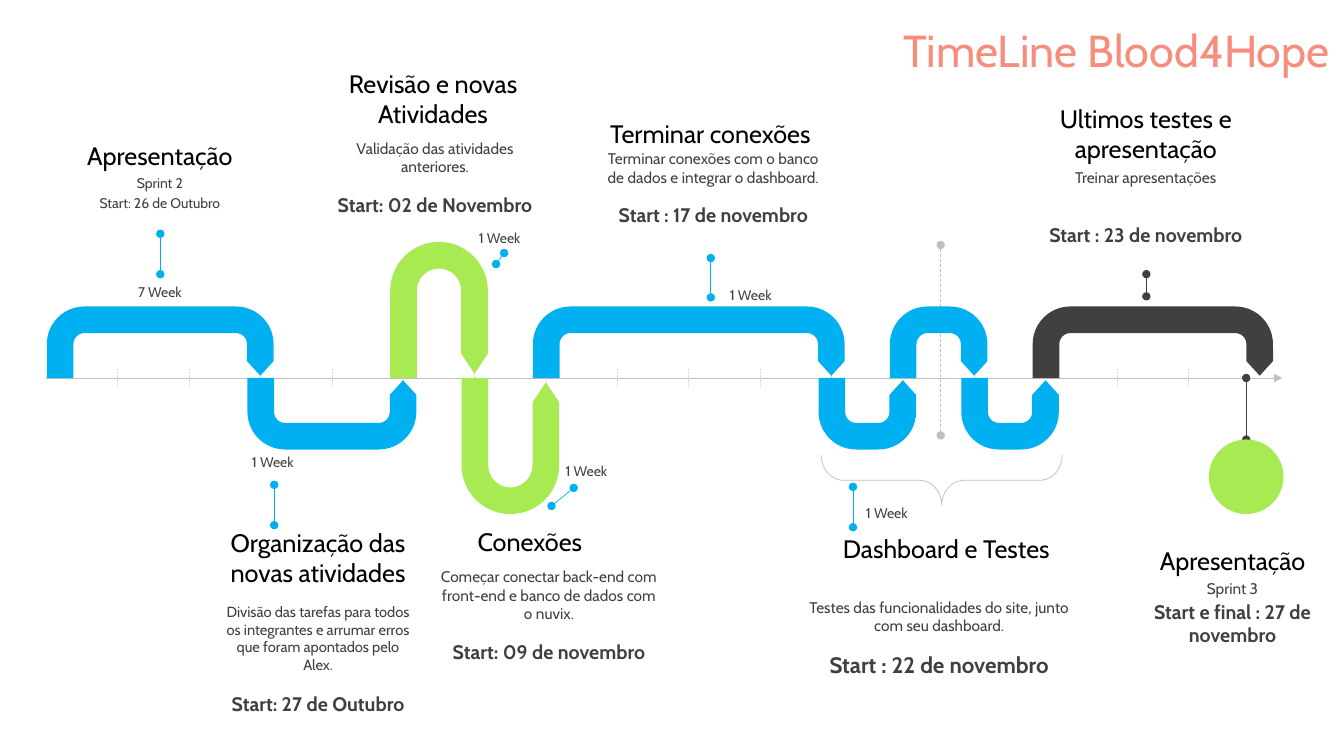
"""Builds a project timeline slide with winding arrows over a weekly axis."""
from lxml import etree
from pptx import Presentation
from pptx.dml.color import RGBColor
from pptx.enum.dml import MSO_LINE
from pptx.enum.shapes import MSO_CONNECTOR, MSO_SHAPE
from pptx.enum.text import MSO_ANCHOR, PP_ALIGN
from pptx.oxml.ns import qn
from pptx.util import Inches, Pt

STRAIGHT = MSO_CONNECTOR.STRAIGHT
UTURN, BRACE, OVAL = MSO_SHAPE.U_TURN_ARROW, MSO_SHAPE.RIGHT_BRACE, MSO_SHAPE.OVAL
SYS_DASH, DASH = MSO_LINE.SQUARE_DOT, MSO_LINE.DASH
CENTER, LEFT, TOP = PP_ALIGN.CENTER, PP_ALIGN.LEFT, MSO_ANCHOR.TOP
BLUE, GREEN, DARK, GREY, PALE = "00B0F0", "A7EA52", "404040", "BFBFBF", "D9D9D9"
BLACK, CORAL = "000000", "F78D7C"
FONT = "Cabin"
AXIS_X, AXIS_Y, WEEK = 0.46, 3.75, 0.708
HALF_BAND = 0.13

prs = Presentation()
prs.slide_width, prs.slide_height = Inches(13.33), Inches(7.5)
slide = prs.slides.add_slide(prs.slide_layouts[6])


def add_text(x, y, w, h, paragraphs, align=CENTER):
    """Add a text box; each paragraph is text, size, colour, bold, space before."""
    box = slide.shapes.add_textbox(Inches(x), Inches(y), Inches(w), Inches(h))
    tf = box.text_frame
    tf.word_wrap = True
    tf.vertical_anchor = TOP
    tf.margin_left = tf.margin_right = tf.margin_top = tf.margin_bottom = 0
    for i, (text, size, color, bold, gap) in enumerate(paragraphs):
        p = tf.add_paragraph() if i else tf.paragraphs[0]
        p.alignment = align
        if gap:
            p.space_before = Pt(gap)
        r = p.add_run()
        r.text = text
        r.font.name, r.font.size, r.font.bold = FONT, Pt(size), bold
        r.font.color.rgb = RGBColor.from_string(color)
    return tf


def add_line(x1, y1, x2, y2, color, head=None, tail=None, dash=None):
    """Add a thin straight line with optional end marks and dashes."""
    c = slide.shapes.add_connector(STRAIGHT, Inches(x1), Inches(y1), Inches(x2), Inches(y2))
    c.line.width = Pt(0.5)
    c.line.color.rgb = RGBColor.from_string(color)
    if dash:
        c.line.dash_style = dash
    ln = c.line._get_or_add_ln()
    for tag, mark in (("a:headEnd", head), ("a:tailEnd", tail)):
        if mark:
            etree.SubElement(ln, qn(tag)).set("type", mark)
    etree.SubElement(c._element.spPr, qn("a:effectLst"))


tf = add_text(8.96, 0.29, 4.23, 0.59, [("TimeLine Blood4Hope", 32, CORAL, False, 0)], LEFT)
tf.paragraphs[0].line_spacing = 0.9

add_line(AXIS_X, AXIS_Y, 12.72, AXIS_Y, GREY, tail="triangle")
for week in range(1, 17):
    x = AXIS_X + week * WEEK
    add_line(x, AXIS_Y - 0.09, x, AXIS_Y + 0.09, PALE, dash=SYS_DASH)

add_line(9.33, 4.32, 9.33, 2.43, GREY, "oval", "oval", DASH)

LOW, TALL = (0.71, 0.372), (1.35, 0.273)
arrows = [
    (0.19, 3, LOW, False, BLUE),
    (3, 5, LOW, True, BLUE),
    (5, 6, TALL, False, GREEN),
    (6, 7, TALL, True, GREEN),
    (7, 11, LOW, False, BLUE),
    (11, 12, LOW, True, BLUE),
    (12, 13, LOW, False, BLUE),
    (13, 14, LOW, True, BLUE),
    (14, 17, LOW, False, DARK),
]
for start, end, (height, band), below, color in arrows:
    s = slide.shapes.add_shape(
        UTURN,
        Inches(AXIS_X + start * WEEK - HALF_BAND),
        Inches(AXIS_Y if below else AXIS_Y - height),
        Inches((end - start) * WEEK + 2 * HALF_BAND),
        Inches(height),
    )
    for i, value in enumerate((band, band / 2, 0.204, 0.526, 0.968)):
        s.adjustments[i] = value
    if below:
        s._element.spPr.find(qn("a:xfrm")).set("flipV", "1")
    s.shadow.inherit = False
    s.fill.solid()
    s.fill.fore_color.rgb = RGBColor.from_string(color)
    s.line.fill.background()

brace = slide.shapes.add_shape(BRACE, Inches(9.09), Inches(3.57), Inches(0.5), Inches(2.39))
brace.rotation = 90
brace.adjustments[0], brace.adjustments[1] = 0.443, 0.5
brace.shadow.inherit = False
brace.fill.background()
brace.line.width = Pt(0.5)
brace.line.color.rgb = RGBColor.from_string(GREY)

pins = [
    (1.59, 2.32, 1.59, 2.72, BLUE),
    (5, 2.51, 4.92, 2.62, BLUE),
    (2.72, 4.81, 2.72, 5.21, BLUE),
    (5.69, 4.84, 5.47, 5.02, BLUE),
    (8.46, 4.83, 8.46, 5.23, BLUE),
    (7.05, 2.56, 7.05, 2.95, BLUE),
    (11.37, 2.94, 11.37, 2.72, DARK),
    (12.36, AXIS_Y, 12.36, 4.36, DARK),
]
for x1, y1, x2, y2, color in pins:
    add_line(x1, y1, x2, y2, color, "oval", "oval")

goal = slide.shapes.add_shape(OVAL, Inches(11.99), Inches(4.36), Inches(0.74), Inches(0.74))
goal.shadow.inherit = False
goal.fill.solid()
goal.fill.fore_color.rgb = RGBColor.from_string(GREEN)
goal.line.fill.background()

durations = [
    (0.89, 2.81, 1.39, "7 Week"),
    (4.26, 2.28, 1.39, "1 Week"),
    (6.67, 2.84, 1.55, "1 Week"),
    (2.01, 4.5, 1.39, "1 Week"),
    (5.12, 4.59, 1.39, "1 Week"),
    (8.02, 5.01, 1.55, "1 Week"),
]
for x, y, w, text in durations:
    add_text(x, y, w, 0.17, [(text, 10, DARK, False, 0)])

headings = [
    (0.62, 1.39, 1.93, 0.3, "Apresentação"),
    (2.19, 5.23, 1.93, 0.61, "Organização das novas atividades"),
    (3.33, 0.68, 1.93, 0.61, "Revisão e novas Atividades"),
    (4.29, 5.22, 1.93, 0.3, "Conexões"),
    (5.95, 1.17, 2.19, 0.28, "Terminar conexões"),
    (8.09, 5.29, 2.59, 0.3, "Dashboard e Testes"),
    (10.23, 1.02, 2.27, 0.61, "Ultimos testes e apresentação"),
    (11.26, 5.41, 1.93, 0.3, "Apresentação"),
]
for x, y, w, h, text in headings:
    add_text(x, y, w, h, [(text, 18, BLACK, False, 0)])

details = [
    (2.19, 5.98, 1.93, 1.3, 10.5, "Divisão das tarefas para todos os integrantes e arrumar "
     "erros que foram apontados pelo Alex.", 13, 14, "Start: 27 de Outubro"),
    (3.23, 1.38, 2.17, 0.94, 11, "Validação das atividades anteriores.",
     12, 14, "Start: 02 de Novembro"),
    (4.37, 5.63, 2.15, 1.13, 11, "Começar conectar back-end com front-end e banco de dados "
     "com o nuvix.", 12, 14, "Start: 09 de novembro"),
    (5.95, 1.48, 2.25, 1.05, 11, "Terminar conexões com o banco de dados e integrar o "
     "dashboard.", 12, 14, "Start : 17 de novembro"),
    (8.02, 5.93, 2.59, 0.98, 11, "Testes das funcionalidades do site, junto com seu "
     "dashboard.", 12, 16, "Start : 22 de novembro"),
    (10.4, 1.67, 1.93, 1.03, 11, "Treinar apresentações", 26, 14, "Start : 23 de novembro"),
]
for x, y, w, h, size, text, gap, date_size, date in details:
    add_text(x, y, w, h, [(text, size, DARK, False, 0), (date, date_size, DARK, True, gap)])

sprint_notes = [
    (0.62, 1.73, 0.17, "Sprint 2", 10, False),
    (0.62, 1.93, 0.26, "Start: 26 de Outubro", 10, False),
    (11.26, 5.75, 0.19, "Sprint 3", 11, False),
    (11.26, 5.95, 0.26, "Start e final : 27 de novembro", 14, True),
]
for x, y, h, text, size, bold in sprint_notes:
    add_text(x, y, 1.93, h, [(text, size, DARK, bold, 0)])

prs.save("out.pptx")
